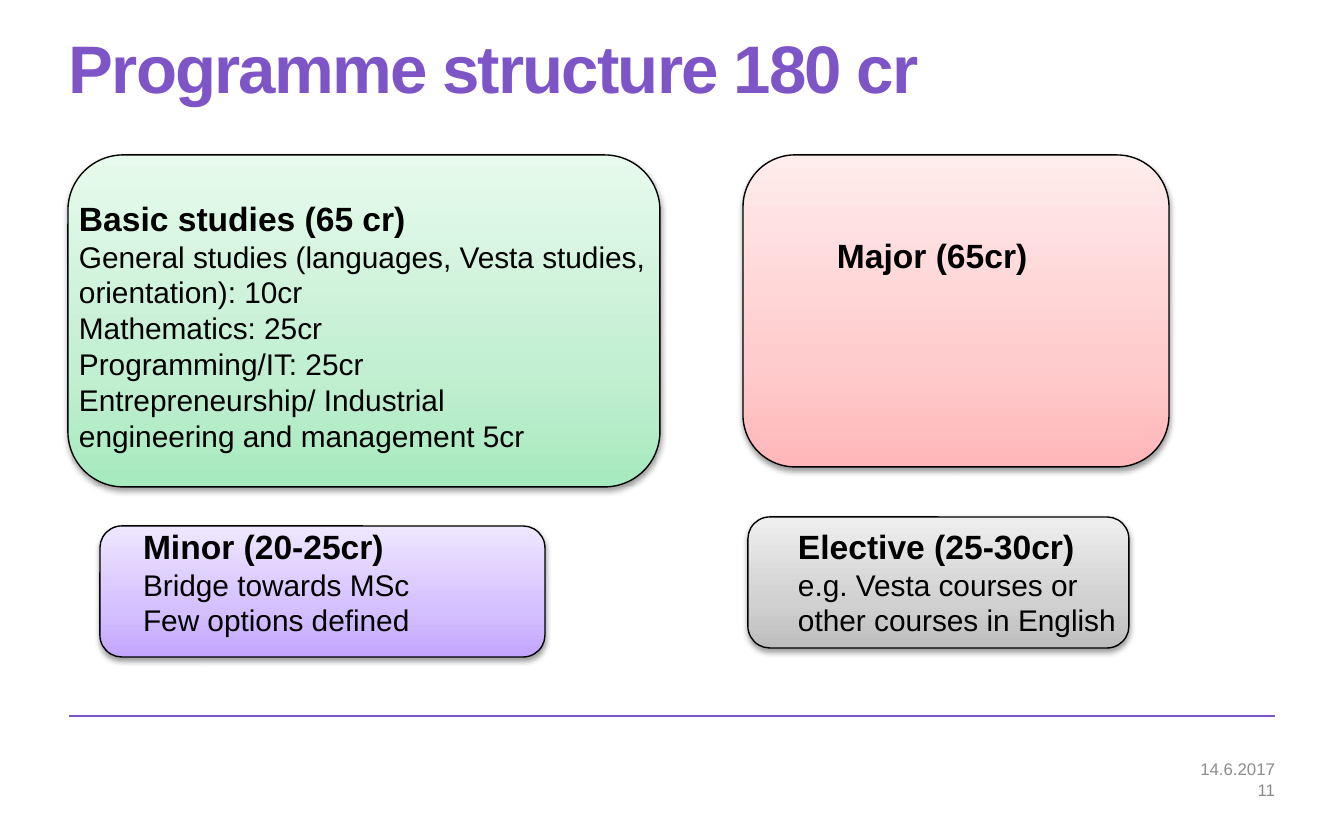
"""Build the programme structure slide."""
from lxml.etree import SubElement as Sub
from pptx import Presentation
from pptx.dml.color import RGBColor as Rgb
from pptx.enum.shapes import MSO_CONNECTOR as Conn, MSO_SHAPE as Shape
from pptx.enum.text import MSO_ANCHOR as Anchor, PP_ALIGN as Align
from pptx.oxml.ns import qn
from pptx.util import Emu, Pt

INK = {"title": "7D55C7", "text": "000000", "foot": "8C8C8C"}
FADES = {
    "red": ("FFB7B9", "FFCCCD", "FFECEC"),
    "gray": ("BDBDBD", "D1D1D1", "EEEEEE"),
    "violet": ("C3A5FF", "D4BFFF", "EEE7FF"),
    "green": ("A6EABE", "C2EFD1", "E7FAED"),
}
STOPS = (0, 35, 100)
TITLE = "Programme structure 180 cr"
FOOT = [("14.6.2017", (743, 757, 532, 23)), ("11", (743, 780, 532, 20))]
CARDS = [
    ("red", (743, 155, 426, 312), (837, 235, 192, 40), False, ["Major (65cr)"]),
    ("gray", (748, 517, 381, 131), (798, 526, 333, 113), True,
     ["Elective (25-30cr)", "e.g. Vesta courses or other courses in English"]),
    ("violet", (100, 526, 445, 131), (143, 526, 281, 113), True,
     ["Minor (20-25cr)", "Bridge towards MSc", "Few options defined"]),
    ("green", (68, 155, 592, 332), (79, 198, 581, 258), True,
     ["Basic studies (65 cr)",
      "General studies (languages, Vesta studies, orientation): 10cr",
      "Mathematics: 25cr", "Programming/IT: 25cr",
      "Entrepreneurship/ Industrial", "engineering and management 5cr"]),
]


def px(*nums):
    return [Emu(round(n * 914400 / 134.4)) for n in nums]


def write(slide, box, lines, sizes, ink, wrap=True, pad=(0, 0, 0, 0)):
    frame = slide.shapes.add_textbox(*px(*box)).text_frame
    frame.word_wrap = wrap
    (frame.margin_left, frame.margin_top,
     frame.margin_right, frame.margin_bottom) = px(*pad)
    frame.text = "\n".join(lines)
    for i, para in enumerate(frame.paragraphs):
        for run in para.runs:
            font = run.font
            font.name = "Arial"
            font.size = Pt(sizes[min(i, 1)])
            font.bold = i == 0 and ink != "foot"
            font.color.rgb = Rgb.from_string(INK[ink])
    return frame


def card(slide, box, fade):
    shape = slide.shapes.add_shape(Shape.ROUNDED_RECTANGLE, *px(*box))
    shape.fill.gradient()
    shape.fill.gradient_angle = 90
    shape.line.color.rgb = Rgb.from_string(INK["text"])
    shape.line.width = Pt(0.75)
    shape.shadow.inherit = False
    props = shape._element.spPr
    stops = props.find(".//" + qn("a:gsLst"))
    for old in list(stops):
        stops.remove(old)
    for pos, tint in zip(STOPS, FADES[fade]):
        stop = Sub(stops, qn("a:gs"), pos=str(pos * 1000))
        Sub(stop, qn("a:srgbClr"), val=tint)
    shade = Sub(props.find(qn("a:effectLst")), qn("a:outerShdw"),
                blurRad=str(Pt(3.1)), dist=str(Pt(1.6)),
                dir="5400000", rotWithShape="0")
    tone = Sub(shade, qn("a:srgbClr"), val=INK["text"])
    Sub(tone, qn("a:alpha"), val="38000")


def main():
    deck = Presentation()
    deck.slide_width, deck.slide_height = px(1344, 840)
    slide = deck.slides.add_slide(deck.slide_layouts[6])

    rule = slide.shapes.add_connector(Conn.STRAIGHT, *px(69, 716, 1275, 716))
    rule.line.color.rgb = Rgb.from_string(INK["title"])
    rule.line.width = Pt(1)
    Sub(rule._element.spPr, qn("a:effectLst"))

    head = write(slide, (69, 39, 1207, 146), [TITLE], (36,), "title").paragraphs[0]
    head.line_spacing = 0.85
    head.runs[0].font._element.set("spc", "-100")

    for text, box in FOOT:
        frame = write(slide, box, [text], (9,), "foot", pad=(13, 7, 0, 7))
        frame.vertical_anchor = Anchor.MIDDLE
        frame.paragraphs[0].alignment = Align.RIGHT

    for fade, box, *rest in CARDS:
        card(slide, box, fade)
    for fade, box, place, wrap, lines in CARDS:
        write(slide, place, lines, (18, 16), "text", wrap)

    deck.save("out.pptx")


if __name__ == "__main__":
    main()
